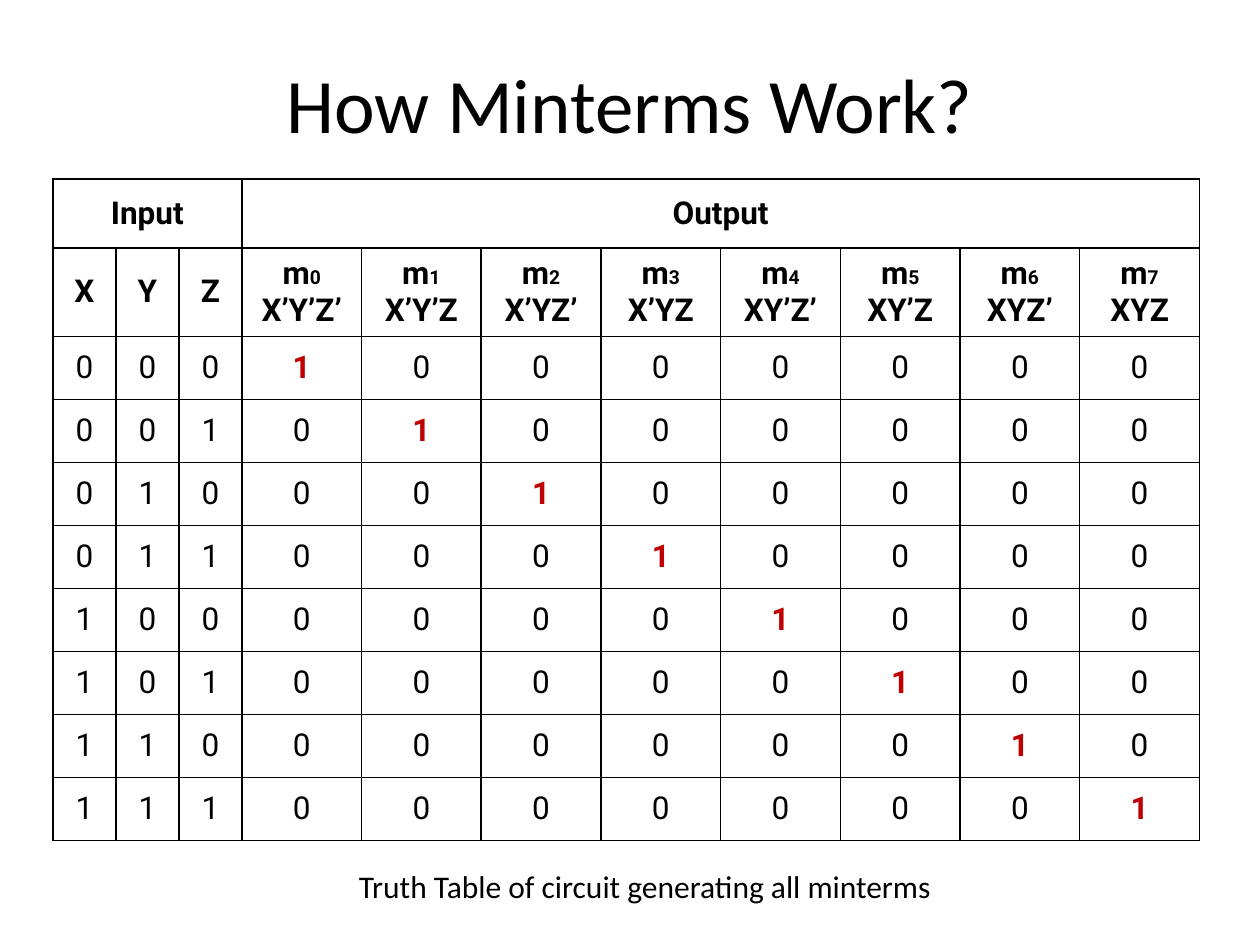
"""Build a slide with the truth table of all three-variable minterms."""
from itertools import product

from lxml.etree import SubElement
from pptx import Presentation
from pptx.dml.color import RGBColor
from pptx.enum.text import MSO_ANCHOR, PP_ALIGN
from pptx.oxml.ns import qn
from pptx.util import Pt

BLACK = RGBColor(0x00, 0x00, 0x00)
RED = RGBColor(0xC0, 0x00, 0x00)
VARIABLES = "XYZ"
INPUTS = list(product((0, 1), repeat=len(VARIABLES)))
INPUT_WIDTH, OUTPUT_WIDTH = 36, 68.4
ROW_HEIGHTS = [39.6, 49.4] + [36] * len(INPUTS)


def add_run(paragraph, text, font="Roboto", size=18, color=BLACK, bold=False):
    run = paragraph.add_run()
    run.text = text
    run.font.name = font
    run.font.size = Pt(size)
    run.font.color.rgb = color
    run.font.bold = bold


def add_text_box(slide, text, left, top, width, height, wrap=True,
                 align=PP_ALIGN.LEFT, anchor=MSO_ANCHOR.TOP, **text_format):
    shape = slide.shapes.add_textbox(Pt(left), Pt(top), Pt(width), Pt(height))
    frame = shape.text_frame
    frame.word_wrap = wrap
    frame.vertical_anchor = anchor
    paragraph = frame.paragraphs[0]
    paragraph.alignment = align
    add_run(paragraph, text, font="Calibri", **text_format)


def style_cell(cell):
    properties = cell._tc.get_or_add_tcPr()
    for side in ("lnL", "lnR", "lnT", "lnB"):
        line = SubElement(properties, qn(f"a:{side}"), w=str(Pt(1)))
        fill = SubElement(line, qn("a:solidFill"))
        SubElement(fill, qn("a:srgbClr"), val=str(BLACK))
    cell.fill.background()
    cell.vertical_anchor = MSO_ANCHOR.MIDDLE
    cell.text_frame.paragraphs[0].alignment = PP_ALIGN.CENTER


def write_cell(cell, text, **text_format):
    add_run(cell.text_frame.paragraphs[0], text, **text_format)


def write_minterm_heading(cell, index, bits):
    write_cell(cell, "m", bold=True)
    write_cell(cell, str(index), size=11, bold=True)
    paragraph = cell.text_frame.add_paragraph()
    paragraph.alignment = PP_ALIGN.CENTER
    product_term = "".join(name if bit else f"{name}’" for name, bit in zip(VARIABLES, bits))
    add_run(paragraph, product_term, bold=True)


def add_truth_table(slide, left, top):
    input_count = len(VARIABLES)
    widths = [INPUT_WIDTH] * input_count + [OUTPUT_WIDTH] * len(INPUTS)
    table = slide.shapes.add_table(
        len(ROW_HEIGHTS), len(widths), Pt(left), Pt(top), Pt(sum(widths)), Pt(sum(ROW_HEIGHTS))
    ).table
    table.first_row = False
    table.horz_banding = False
    for column, width in zip(table.columns, widths):
        column.width = Pt(width)
    for row, height in zip(table.rows, ROW_HEIGHTS):
        row.height = Pt(height)
    for cell in table.iter_cells():
        style_cell(cell)

    for text, first, last in (("Input", 0, input_count - 1),
                              ("Output", input_count, len(widths) - 1)):
        table.cell(0, first).merge(table.cell(0, last))
        write_cell(table.cell(0, first), text, bold=True)
    for column, name in enumerate(VARIABLES):
        write_cell(table.cell(1, column), name, bold=True)
    for index, bits in enumerate(INPUTS):
        write_minterm_heading(table.cell(1, input_count + index), index, bits)
        row = index + 2
        for column, bit in enumerate(bits):
            write_cell(table.cell(row, column), str(bit))
        for minterm in range(len(INPUTS)):
            active = minterm == index
            write_cell(table.cell(row, input_count + minterm), str(int(active)),
                       color=RED if active else BLACK, bold=active)


def main():
    presentation = Presentation()
    presentation.slide_width = Pt(720)
    presentation.slide_height = Pt(540)
    slide = presentation.slides.add_slide(presentation.slide_layouts[6])
    add_text_box(slide, "How Minterms Work?", 36, 21.6, 648, 74.2, size=44,
                 align=PP_ALIGN.CENTER, anchor=MSO_ANCHOR.MIDDLE)
    add_truth_table(slide, 30.2, 102.2)
    add_text_box(slide, "Truth Table of circuit generating all minterms",
                 198, 491.8, 345.6, 28.8, wrap=False)
    presentation.save("out.pptx")


if __name__ == "__main__":
    main()
